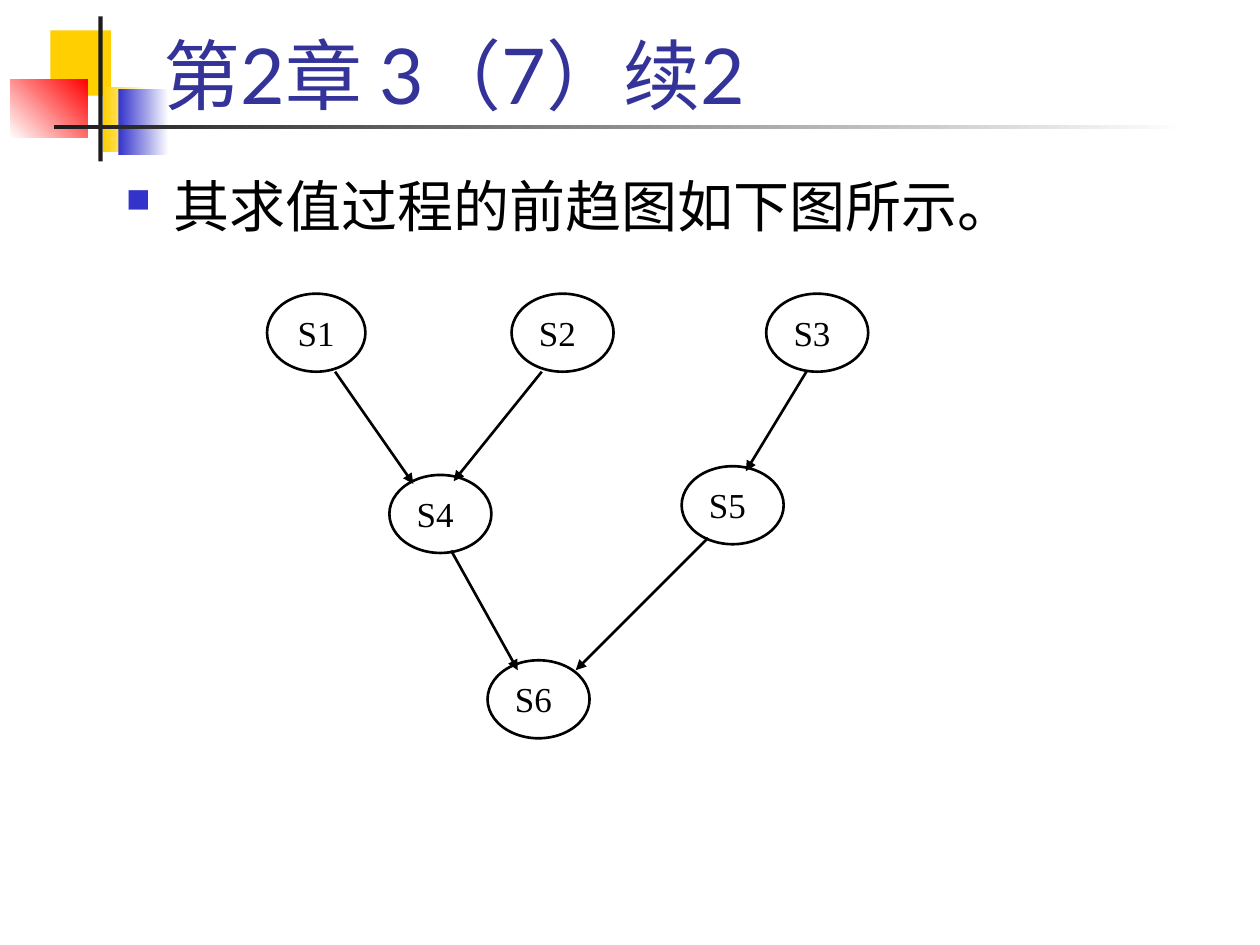
from pptx import Presentation
from pptx.dml.color import RGBColor
from pptx.enum.shapes import MSO_CONNECTOR, MSO_SHAPE
from pptx.enum.text import MSO_ANCHOR, PP_ALIGN
from pptx.oxml import parse_xml
from pptx.oxml.ns import nsdecls
from pptx.util import Pt

# Content
TITLE = [("第2章 3（7", "main"), ("）", "serif"), ("续2", "main")]
BODY = "其求值过程的前趋图如下图所示。"

# Node: left, top, width, alignment
WIDE = 58.3
NODES = {
    "S1": (152.6, 167.8, 56.2, PP_ALIGN.CENTER),
    "S2": (292.3, 167.8, WIDE, PP_ALIGN.JUSTIFY),
    "S3": (437.8, 167.8, WIDE, PP_ALIGN.JUSTIFY),
    "S4": (222.5, 271.4, WIDE, PP_ALIGN.JUSTIFY),
    "S5": (389.5, 266.4, WIDE, PP_ALIGN.JUSTIFY),
    "S6": (278.6, 377.3, WIDE, PP_ALIGN.JUSTIFY),
}
TALL = 44.6

# Arrow: start x, y, end x, y
ARROWS = [
    (191.5, 212.4, 236.2, 276.5),  # S1 to S4
    (309.6, 212.4, 259.2, 275),    # S2 to S4
    (460.8, 212.4, 426.2, 269.3),  # S3 to S5
    (257.8, 314.6, 295.9, 383),    # S4 to S6
    (404.6, 307.4, 329, 383),      # S5 to S6
]

THEME = {
    "main": "Lato", "serif": "Times New Roman",
    "title": "333399", "ink": "000000", "paper": "FFFFFF",
    "gold": "FFCF01", "blue": "3333CC", "red": "FF0000", "dark": "1C1C1C",
    "head": 44, "text": 32, "node": 20, "line": 1.5,
}

# Ornament: box, colours (two make a gradient), angle
ORNAMENT = [
    ((28.8, 17.3, 34.6, 37.4), ["gold"], 0),
    ((59, 49.7, 25.9, 37.4), ["gold", "paper"], 0),
    ((67.7, 51.1, 28.8, 37.4), ["blue", "paper"], 0),
    ((5.8, 45.2, 44.4, 33.6), ["paper", "red"], 45),
    ((56.2, 9.4, 2.4, 82.8), ["dark"], 0),
    ((31, 71.4, 648, 2.2), ["dark", "paper"], 0),
]


def hue(name):
    return RGBColor.from_string(THEME[name])


def style(run, size, color, face="main"):
    run.font.name = THEME[face]
    run.font.size = Pt(THEME[size])
    run.font.color.rgb = hue(color)


def add_shape(slide, kind, box):
    shape = slide.shapes.add_shape(kind, *map(Pt, box))
    shape.shadow.inherit = False
    return shape


def add_text(slide, box):
    frame = slide.shapes.add_textbox(*map(Pt, box)).text_frame
    frame.word_wrap = True
    return frame


def add_block(slide, box, tones, angle):
    block = add_shape(slide, MSO_SHAPE.RECTANGLE, box)
    block.line.fill.background()
    if len(tones) == 1:
        block.fill.solid()
        block.fill.fore_color.rgb = hue(tones[0])
        return
    block.fill.gradient()
    block.fill.gradient_angle = angle
    for stop, tone, place in zip(block.fill.gradient_stops, tones, (0, 1)):
        stop.color.rgb = hue(tone)
        stop.position = place


def add_node(slide, name, left, top, width, align):
    node = add_shape(slide, MSO_SHAPE.OVAL, (left, top, width, TALL))
    node.fill.solid()
    node.fill.fore_color.rgb = hue("paper")
    node.line.color.rgb = hue("ink")
    node.line.width = Pt(THEME["line"])
    frame = node.text_frame
    frame.text = name
    frame.vertical_anchor = MSO_ANCHOR.TOP
    frame.paragraphs[0].alignment = align
    style(frame.paragraphs[0].runs[0], "node", "ink", "serif")


def add_arrow(slide, ends):
    arrow = slide.shapes.add_connector(MSO_CONNECTOR.STRAIGHT, *map(Pt, ends))
    arrow.line.color.rgb = hue("ink")
    arrow.line.width = Pt(THEME["line"])
    arrow.line._get_or_add_ln().append(
        parse_xml(f'<a:tailEnd {nsdecls("a")} type="triangle"/>'))
    arrow._element.spPr.append(parse_xml(f'<a:effectLst {nsdecls("a")}/>'))


def add_bullet(para, indent):
    props = para._p.get_or_add_pPr()
    props.set("marL", str(Pt(indent)))
    props.set("indent", str(-Pt(indent)))
    for xml in (
        f'<a:buClr {nsdecls("a")}><a:srgbClr val="{THEME["blue"]}"/></a:buClr>',
        f'<a:buSzPct {nsdecls("a")} val="60000"/>',
        f'<a:buChar {nsdecls("a")} char="■"/>',
    ):
        props.append(parse_xml(xml))


def main():
    deck = Presentation()
    deck.slide_width, deck.slide_height = Pt(720), Pt(540)
    slide = deck.slides.add_slide(deck.slide_layouts[6])

    # Corner ornament and rule
    for box, tones, angle in ORNAMENT:
        add_block(slide, box, tones, angle)

    # Title
    frame = add_text(slide, (86.4, 12.2, 613.4, 59.8))
    frame.vertical_anchor = MSO_ANCHOR.BOTTOM
    for words, face in TITLE:
        run = frame.paragraphs[0].add_run()
        run.text = words
        style(run, "head", "title", face)

    # Body line
    frame = add_text(slide, (64.8, 94.3, 637.2, 59))
    frame.text = BODY
    para = frame.paragraphs[0]
    para.alignment = PP_ALIGN.JUSTIFY
    add_bullet(para, 27)
    style(para.runs[0], "text", "ink")

    # Precedence graph
    for name, place in NODES.items():
        add_node(slide, name, *place)
    for ends in ARROWS:
        add_arrow(slide, ends)

    deck.save("out.pptx")


if __name__ == "__main__":
    main()
